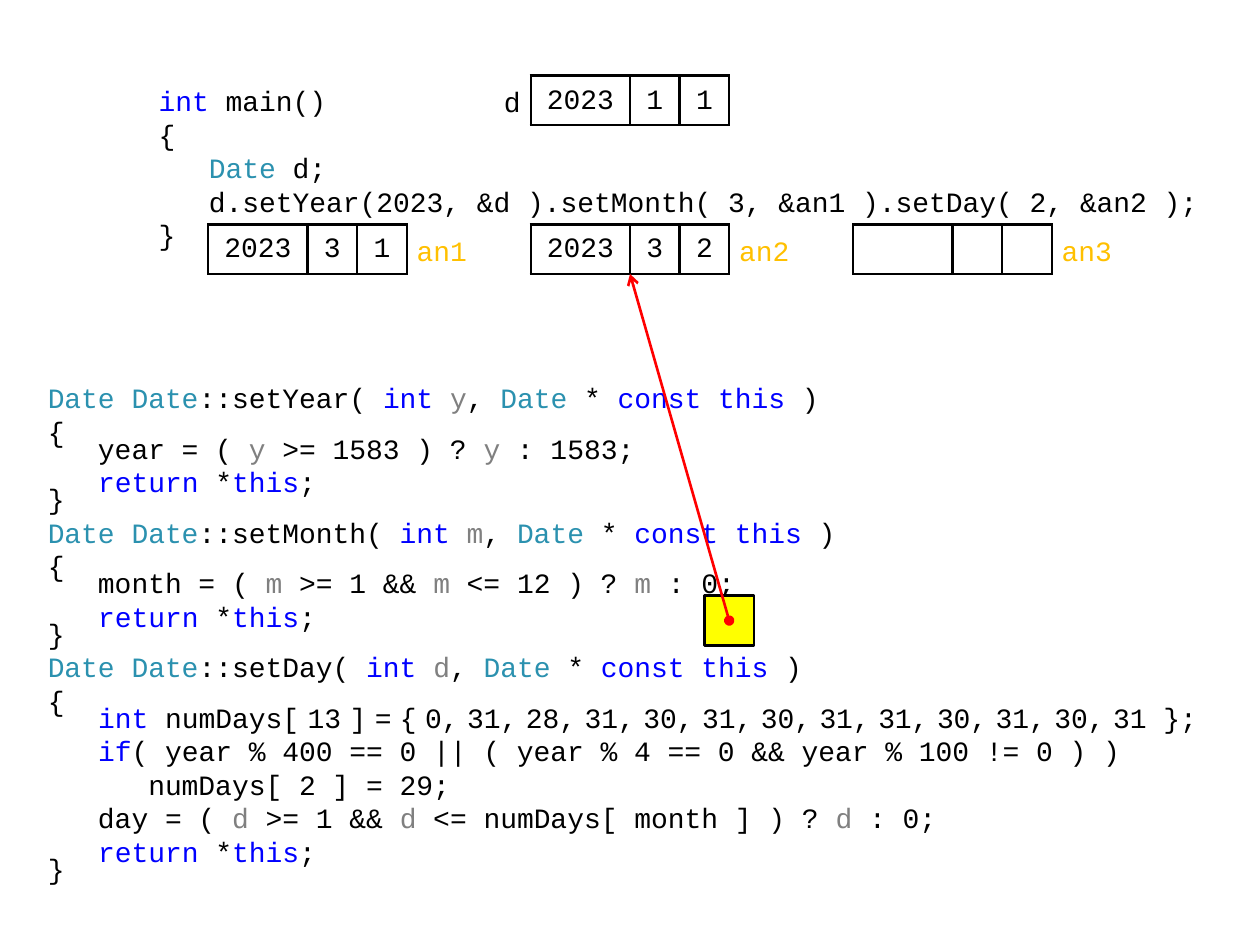
from lxml.etree import SubElement
from pptx import Presentation
from pptx.dml.color import RGBColor
from pptx.enum.shapes import MSO_CONNECTOR as Connector, MSO_SHAPE as Shape
from pptx.enum.text import MSO_ANCHOR as Anchor, PP_ALIGN as Align
from pptx.oxml.ns import qn
from pptx.util import Pt

COLORS = {
    "text": "000000", "keyword": "0000FF", "type": "2B91AF", "param": "808080",
    "label": "FFC000", "paper": "FFFFFF", "mark": "FFFF00", "arrow": "FF0000",
}
STYLES = {"k": "keyword", "t": "type", "p": "param", "s": "text"}
FONT, SIZE, LINE = "Courier New", 16, 19.2
UNIT = 28.35
ROW_TOP, RESULT_TOP = 43.2, 128.2
DAYS = [31, 28, 31, 30, 31, 30, 31, 31, 30, 31, 30]
GAP = "`s `"


def color(name):
    """Return the palette colour with this name."""
    return RGBColor.from_string(COLORS[name])


def write(para, text, ink="text", align=Align.LEFT, spacing=None):
    """Fill a paragraph; a backtick pair encloses a style letter and its text."""
    para.alignment = align
    if spacing:
        para.line_spacing = Pt(spacing)
    for index, piece in enumerate(text.split("`")):
        if not piece:
            continue
        styled = index % 2 == 1
        span = para.add_run()
        span.text = piece[1:] if styled else piece
        small = styled and piece[0] == "s"
        span.font.size = Pt(SIZE / 2 if small else SIZE)
        span.font.name = FONT
        span.font.color.rgb = color(STYLES[piece[0]] if styled else ink)


def set_frame(frame, left, top, right, bottom):
    """Set the insets and wrapping of a text frame."""
    frame.word_wrap = True
    frame.margin_left, frame.margin_top = Pt(left), Pt(top)
    frame.margin_right, frame.margin_bottom = Pt(right), Pt(bottom)


def add_code(page, left, top, width, height, inset, lines):
    """Add a code block from (text, compact) lines."""
    box = page.shapes.add_textbox(Pt(left), Pt(top), Pt(width), Pt(height))
    frame = box.text_frame
    set_frame(frame, inset, 4.6, 7.2, 3.6)
    for index, (text, compact) in enumerate(lines):
        para = frame.add_paragraph() if index else frame.paragraphs[0]
        write(para, text, spacing=LINE / 2 if compact else LINE)


def add_label(page, left, top, width, text, ink, align=Align.LEFT):
    """Add a variable name beside a record."""
    box = page.shapes.add_textbox(Pt(left), Pt(top), Pt(width), Pt(UNIT))
    frame = box.text_frame
    set_frame(frame, 5.76, 4.6, 5.76, 3.6)
    frame.vertical_anchor = Anchor.MIDDLE
    write(frame.paragraphs[0], text, ink, align, LINE)


def add_border(cell):
    """Draw a solid border on all sides of a cell."""
    properties = cell._tc.get_or_add_tcPr()
    for index, side in enumerate(("lnL", "lnR", "lnT", "lnB")):
        line = properties.makeelement(qn(f"a:{side}"), {"w": str(Pt(1.5))})
        fill = SubElement(line, qn("a:solidFill"))
        SubElement(fill, qn("a:srgbClr"), val=COLORS["text"])
        properties.insert(index, line)


def add_record(page, left, top, values):
    """Add a one-row table with year, month and day."""
    widths = (2 * UNIT, UNIT, UNIT)
    table = page.shapes.add_table(
        1, 3, Pt(left), Pt(top), Pt(sum(widths)), Pt(UNIT)).table
    table.first_row = table.horz_banding = False
    table.rows[0].height = Pt(UNIT)
    for column, width, cell, value in zip(
            table.columns, widths, table.rows[0].cells, values):
        column.width = Pt(width)
        cell.fill.solid()
        cell.fill.fore_color.rgb = color("paper")
        cell.margin_left = cell.margin_right = Pt(7.2)
        cell.margin_top, cell.margin_bottom = Pt(1.44), Pt(0)
        cell.vertical_anchor = Anchor.MIDDLE
        add_border(cell)
        write(cell.text_frame.paragraphs[0], value, align=Align.CENTER)


def add_mark(page, left, top):
    """Add the outlined square where the arrow starts."""
    mark = page.shapes.add_shape(
        Shape.RECTANGLE, Pt(left), Pt(top), Pt(UNIT), Pt(UNIT))
    mark.shadow.inherit = False
    mark.fill.solid()
    mark.fill.fore_color.rgb = color("mark")
    mark.line.color.rgb = color("text")
    mark.line.width = Pt(1.5)


def add_arrow(page, start, end):
    """Add a pointer with a round tail and an open head."""
    points = [Pt(value) for value in (*start, *end)]
    arrow = page.shapes.add_connector(Connector.STRAIGHT, *points)
    arrow.line.color.rgb = color("arrow")
    arrow.line.width = Pt(1.5)
    line = arrow.line._get_or_add_ln()
    SubElement(line, qn("a:headEnd"), type="oval")
    SubElement(line, qn("a:tailEnd"), type="arrow")
    SubElement(arrow._element.spPr, qn("a:effectLst"))


def setter(name, param, body):
    """Return the code lines of one member function."""
    head = (f"`tDate Date`::{name}( `kint ``p{param}`, "
            "`tDate` * `kconst this` )")
    first, *rest = body
    return [
        (head, False), ("{", False), (f"   {first}", True),
        *((f"   {text}", False) for text in rest),
        ("   `kreturn` *`kthis`;", False), ("}", True),
    ]


def main():
    """Build and save the slide."""
    deck = Presentation()
    deck.slide_width, deck.slide_height = Pt(720), Pt(540)
    page = deck.slides.add_slide(deck.slide_layouts[6])

    program = [
        "`kint` main()", "{", "   `tDate` d;",
        "   d.setYear(2023, &d ).setMonth( 3, &an1 ).setDay( 2, &an2 );", "}",
    ]
    add_code(page, 76.3, ROW_TOP, 623.5, 99.4, 14.4,
             [(text, False) for text in program])

    days = GAP.join(["numDays[", "13", "]", "=", "{", "0,",
                     *(f"{day}," for day in DAYS), "31 };"])
    members = [
        *setter("setYear", "y", ["year = ( `py` >= 1583 ) ? `py` : 1583;"]),
        *setter("setMonth", "m", [
            "month = ( `pm` >= 1 && `pm` <= 12 ) ? `pm` : 0;"]),
        *setter("setDay", "d", [
            f"`kint `{days}",
            "`kif`( year % 400 == 0 || ( year % 4 == 0 && year % 100 != 0 ) )",
            "   numDays[ 2 ] = 29;",
            "day = ( `pd` >= 1 && `pd` <= numDays[ month ] ) ? `pd` : 0;"]),
    ]
    add_code(page, 20.2, 213.1, 680.4, 297.4, 7.2, members)

    middle, step = 303.3, 6.5 * UNIT
    add_label(page, middle - UNIT, ROW_TOP, UNIT, "d", "text", Align.RIGHT)
    add_record(page, middle, ROW_TOP, ("2023", "1", "1"))
    results = [("2023", "3", "1"), ("2023", "3", "2"), ("", "", "")]
    for index, values in enumerate(results):
        left = middle + (index - 1) * step
        add_label(page, left + 4 * UNIT, RESULT_TOP, 1.5 * UNIT,
                  f"an{index + 1}", "label")
        add_record(page, left, RESULT_TOP, values)

    add_mark(page, 402.5, 340.4)
    add_arrow(page, (416.7, 354.6), (middle + 2 * UNIT, RESULT_TOP + UNIT))
    deck.save("out.pptx")


if __name__ == "__main__":
    main()
